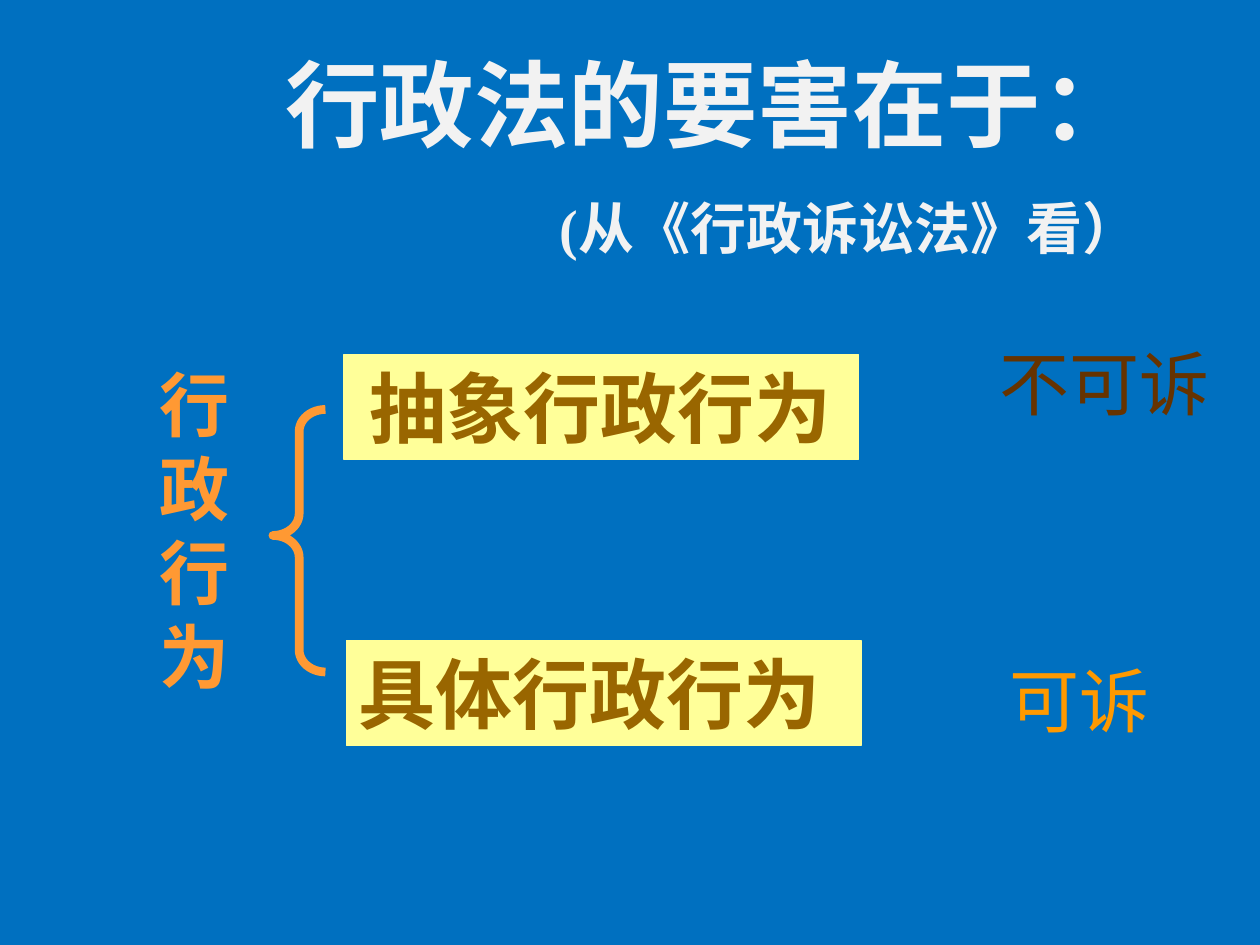
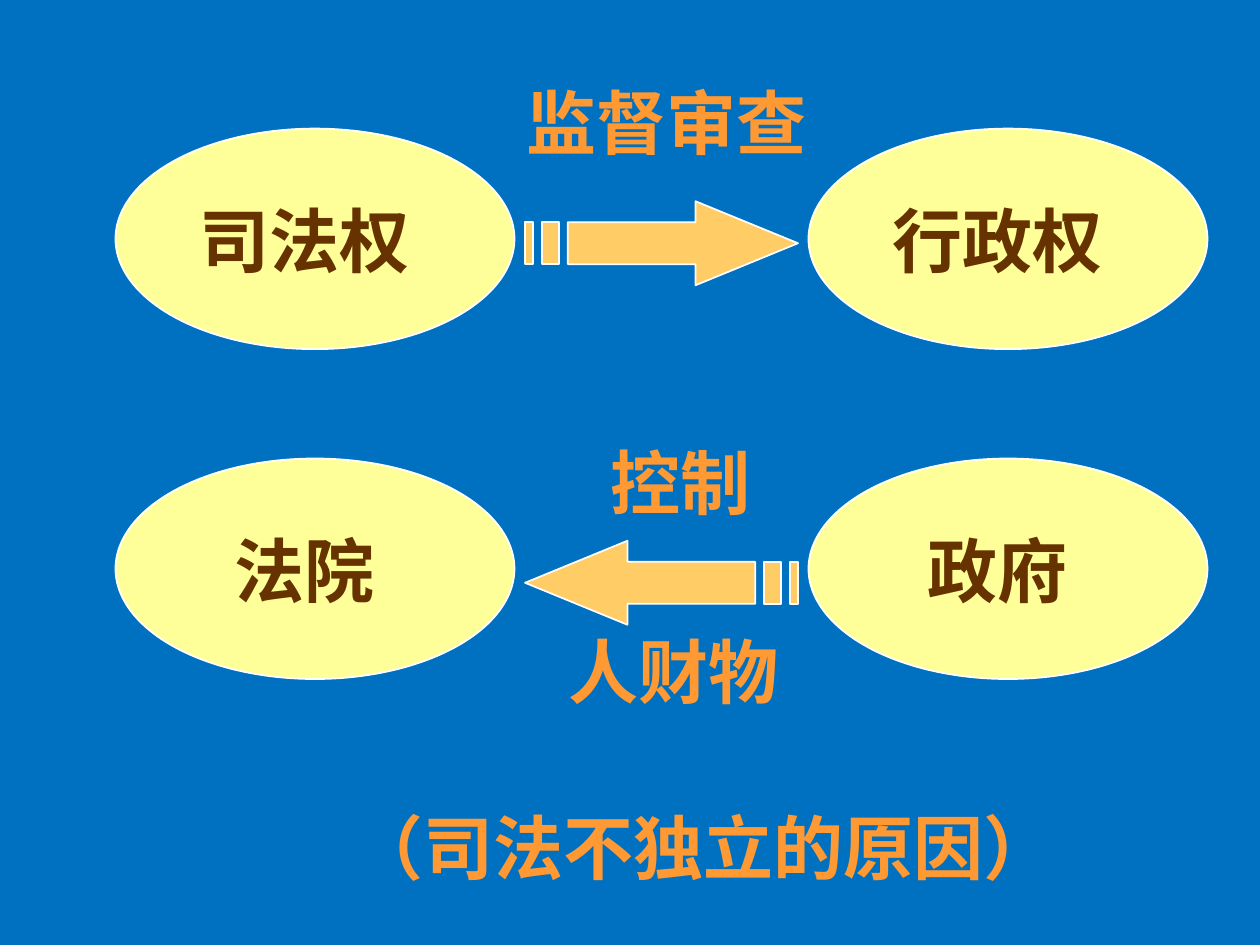
from pptx import Presentation
from pptx.dml.color import RGBColor
from pptx.enum import shapes, text
from pptx.util import Pt

BLUE = RGBColor(0x00, 0x70, 0xC0)
YELLOW = RGBColor(0xFF, 0xFF, 0x99)
GOLD = RGBColor(0xFF, 0xCC, 0x66)
WHITE = RGBColor(0xFF, 0xFF, 0xFF)
PALE = RGBColor(0xF2, 0xF2, 0xF2)
ORANGE = RGBColor(0xFF, 0x99, 0x33)
AMBER = RGBColor(0xFF, 0x99, 0x00)
OCHRE = RGBColor(0x99, 0x66, 0x00)
BROWN = RGBColor(0x66, 0x33, 0x00)
LEFT, CENTER, RIGHT = text.PP_ALIGN.LEFT, text.PP_ALIGN.CENTER, text.PP_ALIGN.RIGHT
LABEL_HEIGHT = 55.5
ARROW_PARTS = (
    ((97.5, 0), (97.5, 12), (24.5, 12), (24.5, 36), (97.5, 36), (97.5, 48), (156, 24)),
    ((9.75, 12), (9.75, 36), (19.5, 36), (19.5, 12)),
    ((0, 12), (0, 36), (4.5, 36), (4.5, 12)),
)


def style(paragraph, size, color, bold=True, align=LEFT, face="Times New Roman"):
    """Format one paragraph."""
    paragraph.alignment = align
    font = paragraph.font
    font.size, font.bold, font.name = Pt(size), bold, face
    font.color.rgb = color


def paint(shape, fill, line, width):
    """Give a shape a flat fill and outline."""
    shape.shadow.inherit = False
    shape.fill.solid()
    shape.fill.fore_color.rgb = fill
    shape.line.color.rgb = line
    shape.line.width = Pt(width)


def add_label(slide, words, left, top, width, height=LABEL_HEIGHT, size=40,
              color=ORANGE, bold=True, align=LEFT):
    """Add a wrapping text box and return its text frame."""
    frame = slide.shapes.add_textbox(Pt(left), Pt(top), Pt(width), Pt(height)).text_frame
    frame.word_wrap = True
    frame.auto_size = text.MSO_AUTO_SIZE.SHAPE_TO_FIT_TEXT
    frame.text = words
    style(frame.paragraphs[0], size, color, bold, align)
    return frame


def fill_act_box(box, words, left, top, align, anchor):
    """Turn a shape into a yellow box naming a kind of act."""
    box.left, box.top, box.width, box.height = Pt(left), Pt(top), Pt(294), Pt(60)
    paint(box, YELLOW, YELLOW, 0.75)
    frame = box.text_frame
    frame.word_wrap = True
    frame.auto_size = text.MSO_AUTO_SIZE.NONE
    frame.vertical_anchor = anchor
    frame.text = words
    style(frame.paragraphs[0], 44, OCHRE, align=align, face="Arial")


def add_brace(slide, left, top, width, height):
    """Add the orange brace that opens the two kinds of act."""
    brace = slide.shapes.add_shape(shapes.MSO_SHAPE.LEFT_BRACE,
                                   Pt(left), Pt(top), Pt(width), Pt(height))
    brace.shadow.inherit = False
    brace.fill.background()
    brace.line.color.rgb = ORANGE
    brace.line.width = Pt(5)
    brace.adjustments[0] = 0.42
    brace.adjustments[1] = 0.48


def add_power(slide, words, left, top):
    """Add an ellipse with its label."""
    ellipse = slide.shapes.add_shape(shapes.MSO_SHAPE.OVAL,
                                     Pt(left), Pt(top), Pt(228), Pt(126))
    paint(ellipse, YELLOW, WHITE, 1)
    add_label(slide, words, left - 6, top + 36, 228, color=BROWN, align=CENTER)


def add_striped_arrow(slide, left, top, rotation=0):
    """Add a block arrow with two stripes at its tail."""
    outline = None
    for part in ARROW_PARTS:
        points = [(Pt(left + x), Pt(top + y)) for x, y in part]
        if outline is None:
            outline = slide.shapes.build_freeform(*points[0])
        else:
            outline.move_to(*points[0])
        outline.add_line_segments(points[1:], close=True)
    arrow = outline.convert_to_shape()
    paint(arrow, GOLD, WHITE, 1)
    arrow.rotation = rotation


def build_acts(slide):
    """Build the slide on the kinds of administrative act."""
    fill_act_box(slide.shapes.title, "抽象行政行为", 196.5, 202.5, CENTER,
                 text.MSO_ANCHOR.MIDDLE)
    concrete = slide.shapes.add_shape(shapes.MSO_SHAPE.RECTANGLE, 0, 0, 0, 0)
    fill_act_box(concrete, "具体行政行为", 198, 366, LEFT, text.MSO_ANCHOR.TOP)
    heading = add_label(slide, "行政法的要害在于：", 156, 22.5, 502, 130, 54, PALE)
    source_law = heading.add_paragraph()
    source_law.text = "(从《行政诉讼法》看）"
    source_law.space_before = Pt(20)
    style(source_law, 32, PALE, align=RIGHT)
    add_brace(slide, 156, 234, 30, 150)
    add_label(slide, "行政行为", 84, 203, 78, 199.5)
    add_label(slide, "不可诉", 564, 191, 156, color=BROWN, bold=False)
    add_label(slide, "可诉", 570, 372, 108, color=AMBER, bold=False)


def build_powers(slide):
    """Build the slide on courts and government."""
    rows = ((73.5, "司法权", "行政权"), (262, "法院", "政府"))
    for top, judicial, executive in rows:
        add_power(slide, judicial, 66, top)
        add_power(slide, executive, 462, top)
    add_striped_arrow(slide, 300, 115)
    add_striped_arrow(slide, 300, 309, rotation=180)
    add_label(slide, "监督审查", 294, 42, 216)
    add_label(slide, "控制", 342, 247.5, 132)
    add_label(slide, "人财物", 318, 355.5, 180)
    add_label(slide, "（司法不独立的原因）", 146, 456, 512, align=CENTER)


def main():
    """Build and save the presentation."""
    prs = Presentation()
    prs.slide_width, prs.slide_height = Pt(720), Pt(540)
    backdrop = prs.slide_master.background.fill
    backdrop.solid()
    backdrop.fore_color.rgb = BLUE
    title_only, blank = prs.slide_layouts[5], prs.slide_layouts[6]
    build_acts(prs.slides.add_slide(title_only))
    build_powers(prs.slides.add_slide(blank))
    prs.save("out.pptx")


if __name__ == "__main__":
    main()
